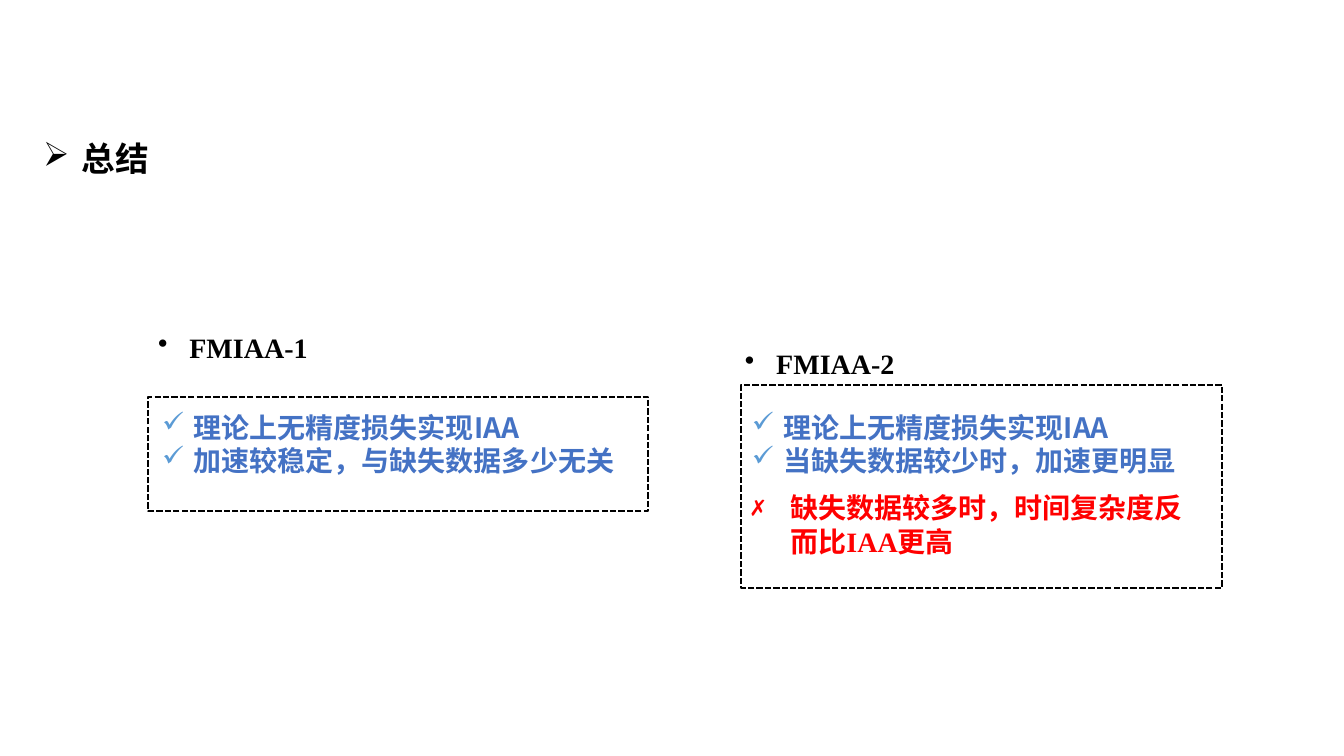
from pptx import Presentation, util as u
from pptx.dml.color import RGBColor
from pptx.enum import dml, shapes, text
from pptx.oxml import ns
from lxml import etree

Inches = u.Inches
SANS, SERIF = "Noto Sans CJK SC", "Times New Roman"
COLORS = {"black": "000000", "blue": "4472C4", "tick": "5B9BD5", "red": "FF0000"}

deck = Presentation()
deck.slide_width, deck.slide_height = Inches(13.33), Inches(7.5)
slide = deck.slides.add_slide(deck.slide_layouts[6])


def add_list(spot, lines, mark, indent, color, size=20, tint=None, wrap=True):
    box = slide.shapes.add_textbox(*map(Inches, spot))
    frame = box.text_frame
    frame.word_wrap = wrap
    frame.auto_size = text.MSO_AUTO_SIZE.SHAPE_TO_FIT_TEXT
    for row, parts in enumerate(lines):
        para = frame.add_paragraph() if row else frame.paragraphs[0]
        props = para._p.get_or_add_pPr()
        props.set("marL", str(Inches(indent)))
        props.set("indent", str(Inches(-indent)))
        if tint:
            fill = etree.SubElement(props, ns.qn("a:buClr"))
            etree.SubElement(fill, ns.qn("a:srgbClr"), val=COLORS[tint])
        etree.SubElement(props, ns.qn("a:buChar"), char=mark)
        for words, face in parts:
            run = para.add_run()
            run.text = words
            run.font.size, run.font.bold, run.font.name = u.Pt(size), True, face
            run.font.color.rgb = RGBColor.from_string(COLORS[color])
            latin = run.font._element.find(ns.qn("a:latin"))
            latin.addnext(latin.makeelement(ns.qn("a:ea"), {"typeface": face}))


add_list((0.33, 1.32, 5.81, 0.5), [[("总结", SANS)]], "➢", 0.38, "black", 24)

methods = [
    ("FMIAA-1", (1.47, 3.23, 2.48, 0.44), (1.47, 3.94, 4.96, 1.13),
     (1.51, 4.02, 4.75, 0.77), "加速较稳定，与缺失数据多少无关"),
    ("FMIAA-2", (7.29, 3.39, 2.84, 0.44), (7.35, 3.82, 4.77, 2.01),
     (7.36, 4.02, 4.47, 0.77), "当缺失数据较少时，加速更明显"),
]
for name, head, edge, body, speed in methods:
    add_list(head, [[(name, SERIF)]], "•", 0.31, "black")
    frame = slide.shapes.add_shape(shapes.MSO_SHAPE.RECTANGLE, *map(Inches, edge))
    frame.shadow.inherit = False
    frame.fill.background()
    frame.line.color.rgb = RGBColor.from_string(COLORS["black"])
    frame.line.width = u.Pt(1.5)
    frame.line.dash_style = dml.MSO_LINE.SQUARE_DOT
    pros = [[("理论上无精度损失实现IAA", SANS)], [(speed, SANS)]]
    add_list(body, pros, "✓", 0.31, "blue", tint="tick", wrap=False)

cons = [[("缺失数据较多时，时间复杂度反而比", SANS), ("IAA", SERIF), ("更高", SANS)]]
add_list((7.36, 4.82, 4.65, 0.77), cons, "✗", 0.38, "red")

deck.save("out.pptx")
